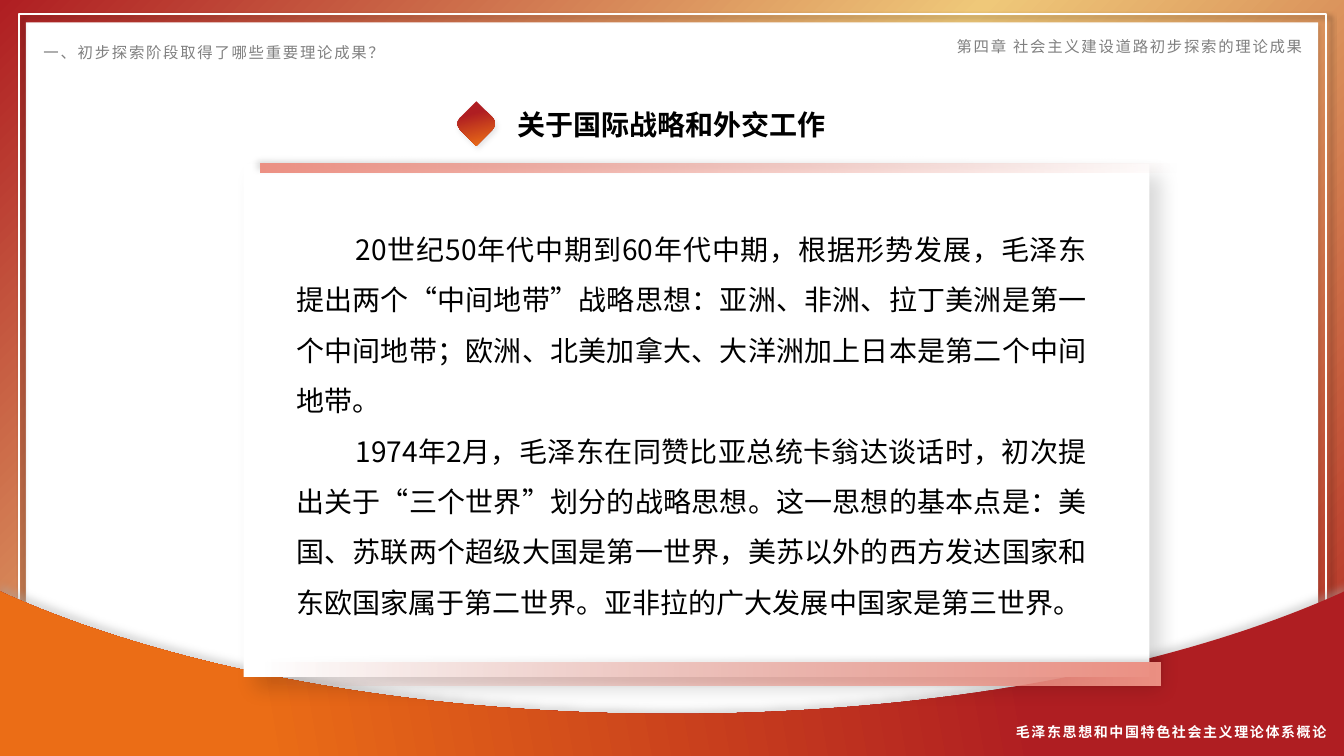
from pptx import Presentation
from pptx.dml.color import RGBColor
from pptx.enum import shapes, text
from pptx.oxml import parse_xml
from pptx.oxml.ns import nsdecls, qn
from pptx.util import Pt

# Content
CHAPTER = "第四章 社会主义建设道路初步探索的理论成果"
SECTION = "一、初步探索阶段取得了哪些重要理论成果？"
TITLE = "关于国际战略和外交工作"
BODY = [
    "20世纪50年代中期到60年代中期，根据形势发展，毛泽东提出两个“中间地带”战略思想："
    "亚洲、非洲、拉丁美洲是第一个中间地带；欧洲、北美加拿大、大洋洲加上日本是第二个中间地带。",
    "1974年2月，毛泽东在同赞比亚总统卡翁达谈话时，初次提出关于“三个世界”划分的战略思想。"
    "这一思想的基本点是：美国、苏联两个超级大国是第一世界，美苏以外的西方发达国家和东欧国家"
    "属于第二世界。亚非拉的广大发展中国家是第三世界。",
]
COURSE = "毛泽东思想和中国特色社会主义理论体系概论"


class Theme:
    font = "Noto Sans CJK SC"
    large, small, tiny = 20, 11, 10
    black, white, gray, frame = "000000", "FFFFFF", "808080", "FFFDFA"
    # Gradient stops: position %, colour, opacity %
    border = [(0, "B0261F", 100), (53, "EFC879", 100), (100, "AF1E22", 100)]
    diamond = [(30, "AF1E22", 100), (94, "EB6E16", 100)]
    wave = [(24, "AF1E22", 100), (81, "EB6D16", 100)]
    bar_fading_out = [(0, "ED9184", 100), (100, "ED9184", 0)]
    bar_fading_in = [(0, "ED9184", 0), (100, "ED9184", 100)]


WIDTH, HEIGHT = 960, 540
prs = Presentation()
prs.slide_width, prs.slide_height = Pt(WIDTH), Pt(HEIGHT)
slide = prs.slides.add_slide(prs.slide_layouts[6])


def style(shape, fill=None, angle=0, line=None, shadow=None):
    """fill: colour, gradient stops or None; shadow: colour, opacity, blur, distance, angle."""
    shape.fill.background()
    if isinstance(fill, str):
        shape.fill.solid()
        shape.fill.fore_color.rgb = RGBColor.from_string(fill)
    elif fill:
        stops = "".join(
            f'<a:gs pos="{pos * 1000}"><a:srgbClr val="{color}">'
            f'<a:alpha val="{opacity * 1000}"/></a:srgbClr></a:gs>'
            for pos, color, opacity in fill)
        props = shape.element.spPr
        props.replace(props.find(qn("a:noFill")), parse_xml(
            f'<a:gradFill {nsdecls("a")} rotWithShape="1"><a:gsLst>{stops}</a:gsLst>'
            f'<a:lin ang="{angle * 60000}" scaled="0"/></a:gradFill>'))
    if line:
        shape.line.color.rgb = RGBColor.from_string(line)
        shape.line.width = Pt(1.5)
    else:
        shape.line.fill.background()
    shape.shadow.inherit = False
    if shadow:
        color, opacity, blur, distance, direction = shadow
        shape.element.spPr.find(qn("a:effectLst")).append(parse_xml(
            f'<a:outerShdw {nsdecls("a")} blurRad="{Pt(blur)}" dist="{Pt(distance)}" '
            f'dir="{direction * 60000}" algn="ctr" rotWithShape="0"><a:srgbClr val="{color}">'
            f'<a:alpha val="{opacity * 1000}"/></a:srgbClr></a:outerShdw>'))
    return shape


def block(box, kind=shapes.MSO_SHAPE.RECTANGLE, **look):
    return style(slide.shapes.add_shape(kind, *map(Pt, box)), **look)


def write(box, paragraphs, size=Theme.large, color=Theme.black, bold=False,
          align="LEFT", spacing=1.0, indent=0, tracking=0):
    frame = slide.shapes.add_textbox(*map(Pt, box)).text_frame
    frame.word_wrap = True
    frame.auto_size = text.MSO_AUTO_SIZE.SHAPE_TO_FIT_TEXT
    for i, words in enumerate(paragraphs):
        paragraph = frame.paragraphs[0] if i == 0 else frame.add_paragraph()
        paragraph.alignment = text.PP_ALIGN[align]
        paragraph.line_spacing = spacing
        if indent:
            paragraph._p.get_or_add_pPr().set("indent", str(Pt(indent)))
        run = paragraph.add_run()
        run.text = words
        run.font.size, run.font.bold, run.font.name = Pt(size), bold, Theme.font
        run.font.color.rgb = RGBColor.from_string(color)
        props = run.font._element
        props.set("lang", "zh-CN")
        if tracking:
            props.set("spc", str(round(tracking * 100)))
        props.append(parse_xml(f'<a:ea {nsdecls("a")} typeface="{Theme.font}"/>'))


def bezier(p0, p1, p2, p3, steps=40):
    for i in range(1, steps + 1):
        t = i / steps
        yield tuple((1 - t) ** 3 * a + 3 * (1 - t) ** 2 * t * b
                    + 3 * (1 - t) * t ** 2 * c + t ** 3 * d
                    for a, b, c, d in zip(p0, p1, p2, p3))


# Gradient border, white page and thin frame
block((0, 0, WIDTH, HEIGHT), fill=Theme.border, angle=225)
block((18.5, 16, 923, 507), fill=Theme.white, shadow=(Theme.black, 20, 4, 3, 90))
block((13.5, 10.25, 934, 518.5), line=Theme.frame, shadow=(Theme.black, 40, 4, 3, 45))

# Title with diamond
write((296.5, 73, 366.5, 31.5), [TITLE], bold=True, align="CENTER")
diamond = block((329, 77, 22.5, 22.5), shapes.MSO_SHAPE.ROUND_2_DIAG_RECTANGLE,
                fill=Theme.diamond, angle=120, shadow=(Theme.black, 9, 4, 3, 60))
diamond.adjustments[0], diamond.adjustments[1] = 0.264, 0
diamond.rotation = 315

# Wave along the foot: the right half mirrors the left
WAVE_TOP, WAVE_FOOT = 422.5, 541.5
left_half = [(0, WAVE_TOP), (2, 423.5),
             *bezier((2, 423.5), (120, 476.5), (290, 510), (WIDTH / 2, 510))]
right_half = [(WIDTH - x, y) for x, y in reversed(left_half[:-1])]
outline = [*left_half, *right_half, (WIDTH, WAVE_FOOT), (0, WAVE_FOOT)]
points = [(Pt(x), Pt(y)) for x, y in outline]
builder = slide.shapes.build_freeform(*points[0])
builder.add_line_segments(points[1:], close=True)
style(builder.convert_to_shape(), fill=Theme.wave, angle=170,
      shadow=("A6A6A6", 40, 5, 4, 270))

# Card with fading bars
block((174, 117, 647, 366.5), fill=Theme.white, shadow=(Theme.black, 15, 14, 12, 45))
for bar, stops in [((186, 117, 658, 6), Theme.bar_fading_out),
                   ((186, 473, 643, 16.5), Theme.bar_fading_in)]:
    block(bar, fill=stops, shadow=(Theme.black, 15, 4, 3, 225))
write((204.5, 150.5, 579, 334), BODY, align="JUSTIFY", spacing=1.5, indent=42.5)

# Footer and running heads
write((660, 507, 294.5, 23), [COURSE], size=Theme.tiny, color=Theme.white, bold=True,
      align="RIGHT", spacing=1.5, tracking=1.2)
write((24, 24.5, 269, 23), [SECTION], size=Theme.small, color=Theme.gray,
      align="JUSTIFY", spacing=1.2, tracking=1.2)
write((669, 23, 268.5, 20), [CHAPTER], size=Theme.small, color=Theme.gray,
      align="RIGHT", tracking=1.2)

prs.save("out.pptx")
